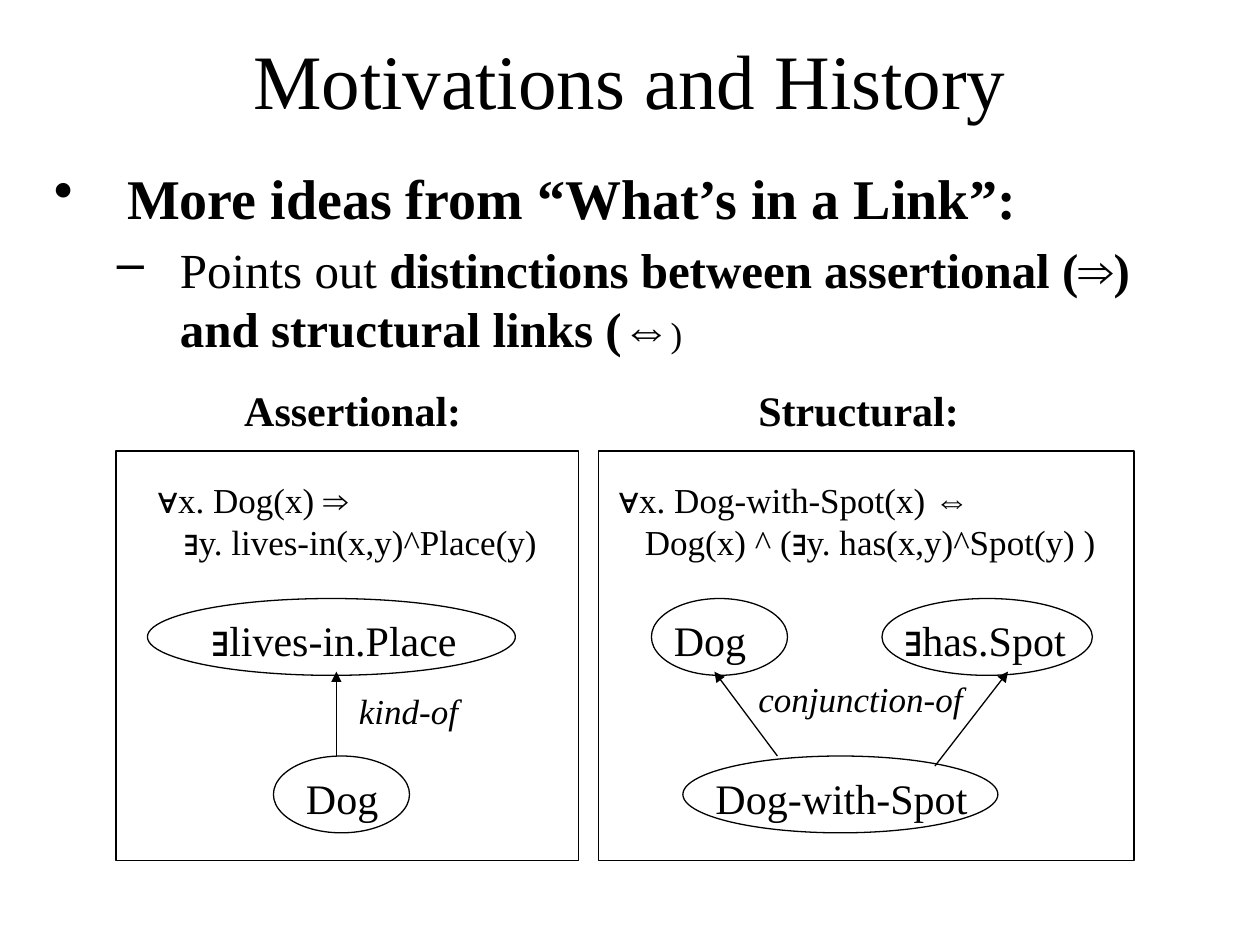
import itertools

import pptx
import pptx.dml.color
import pptx.enum.dml
import pptx.enum.shapes
import pptx.enum.text
import pptx.oxml
import pptx.oxml.ns
import pptx.util

SERIF, SYMBOL_FONT = "Times New Roman", "Arial"
SYMBOLS = "∀∃⇒⇔"
INK = "000000"
INDENT = 0.21
ELLIPSE_HEIGHT = 0.61
UPPER, LOWER = 4.75, 6  # tops of the two rows of concepts

TITLE = "Motivations and History"
# level: (left margin, hanging indent, space before, bullet), runs: (text, size, bold)
IDEAS = [
    ((0.58, -0.58, 0, "•"), [("More ideas from “What’s in a Link”:", 32, True)]),
    ((1, -0.5, 5, "–"), [
        ("Points out ", 28, False),
        ("distinctions between assertional (⇒) and structural links (⇔", 28, True),
        (")", 20, False)]),
]
# Each panel: frame (left, width), heading, formula, concepts, links and link label
PANELS = [
    {"frame": (0.92, 3.67),
     "heading": ("Assertional:", 1.84),
     "formula": (1.15, ["∀x. Dog(x) ⇒", "∃y. lives-in(x,y)^Place(y)"]),
     # (text, text left, ellipse left, ellipse width, row)
     "concepts": [("∃lives-in.Place", 1.58, 1.17, 2.92, UPPER),
                  ("Dog", 2.33, 2.17, 1.08, LOWER)],
     "links": [(2.67, 6, 2.67, 5.33)],
     "label": ("kind-of", 2.75, 5.42)},
    {"frame": (4.75, 4.25),
     "heading": ("Structural:", 5.92),
     "formula": (4.81, ["∀x. Dog-with-Spot(x) ⇔", "Dog(x) ^ (∃y. has(x,y)^Spot(y) )"]),
     "concepts": [("Dog", 5.25, 5.17, 1.08, UPPER),
                  ("∃has.Spot", 7.08, 7, 1.67, UPPER),
                  ("Dog-with-Spot", 5.58, 5.42, 2.5, LOWER)],
     "links": [(6.17, 6, 5.67, 5.33), (7.42, 6.08, 8, 5.33)],
     "label": ("conjunction-of", 5.92, 5.33)},
]

inch = pptx.util.Inches
prs = pptx.Presentation()
prs.slide_width, prs.slide_height = inch(10), inch(7.5)
slide = prs.slides.add_slide(prs.slide_layouts[6])


def color(value):
    return pptx.dml.color.RGBColor.from_string(value)


def add_runs(paragraph, text, size, bold=False, italic=False):
    """Add text, with logic symbols in their own font and never bold."""
    for is_symbol, chars in itertools.groupby(text, lambda c: c in SYMBOLS):
        run = paragraph.add_run()
        run.text = "".join(chars)
        run.font.name = SYMBOL_FONT if is_symbol else SERIF
        run.font.size = pptx.util.Pt(size)
        run.font.bold = bold and not is_symbol
        run.font.italic = italic
        run.font.color.rgb = color(INK)


def add_box(left, top, width, height):
    frame = slide.shapes.add_textbox(*map(inch, (left, top, width, height))).text_frame
    frame.word_wrap = True
    return frame


def add_label(text, left, top, width, size, **style):
    frame = add_box(left, top, width, 0.5 if size == 24 else 0.44)
    add_runs(frame.paragraphs[0], text, size, **style)


def add_outline(kind, left, top, width, height):
    outline = slide.shapes.add_shape(kind, *map(inch, (left, top, width, height)))
    outline.shadow.inherit = False
    outline.fill.background()
    outline.line.color.rgb = color(INK)
    outline.line.width = pptx.util.Pt(0.75)


def add_arrow(*ends):
    arrow = slide.shapes.add_connector(
        pptx.enum.shapes.MSO_CONNECTOR.STRAIGHT, *map(inch, ends))
    arrow.line.color.rgb = color(INK)
    arrow.line.width = pptx.util.Pt(0.75)
    head = pptx.oxml.parse_xml(
        f'<a:tailEnd {pptx.oxml.ns.nsdecls("a")} type="triangle"/>')
    arrow.line._get_or_add_ln().append(head)
    arrow._element.spPr.append(
        pptx.oxml.parse_xml(f'<a:effectLst {pptx.oxml.ns.nsdecls("a")}/>'))


# Title
title = add_box(0.75, 0, 8.5, 1.25)
title.vertical_anchor = pptx.enum.text.MSO_ANCHOR.MIDDLE
title.paragraphs[0].alignment = pptx.enum.text.PP_ALIGN.CENTER
add_runs(title.paragraphs[0], TITLE, 44)

# Bulleted ideas
ideas = add_box(0.33, 1.25, 9.25, 1.75)
for number, ((margin, hanging, before, bullet), runs) in enumerate(IDEAS):
    idea = ideas.add_paragraph() if number else ideas.paragraphs[0]
    idea.level = number
    idea.space_before = pptx.util.Pt(before)
    properties = idea._p.get_or_add_pPr()
    properties.set("marL", str(inch(margin)))
    properties.set("indent", str(inch(hanging)))
    properties.append(pptx.oxml.parse_xml(
        f'<a:buChar {pptx.oxml.ns.nsdecls("a")} char="{bullet}"/>'))
    for text, size, bold in runs:
        add_runs(idea, text, size, bold)

# Panels
for panel in PANELS:
    frame_left, frame_width = panel["frame"]
    add_outline(pptx.enum.shapes.MSO_SHAPE.RECTANGLE, frame_left, 3.58, frame_width, 3.25)

    heading, heading_left = panel["heading"]
    add_label(heading, heading_left, 3, 2, 24, bold=True)

    # Formula, with its second line indented
    formula_left, (first, second) = panel["formula"]
    formula = add_box(formula_left, 3.75, frame_width, 0.77)
    add_runs(formula.paragraphs[0], first, 20)
    continuation = formula.add_paragraph()
    continuation._p.get_or_add_pPr().set("marL", str(inch(INDENT)))
    add_runs(continuation, second, 20)

    # Concepts and the links between them
    for text, text_left, left, width, row in panel["concepts"]:
        add_outline(pptx.enum.shapes.MSO_SHAPE.OVAL, left, row, width, ELLIPSE_HEIGHT)
        add_label(text, text_left, row + 0.08, width, 24)
    for link in panel["links"]:
        add_arrow(*link)
    label, label_left, label_top = panel["label"]
    add_label(label, label_left, label_top, 1.93, 20, italic=True)

prs.save("out.pptx")
